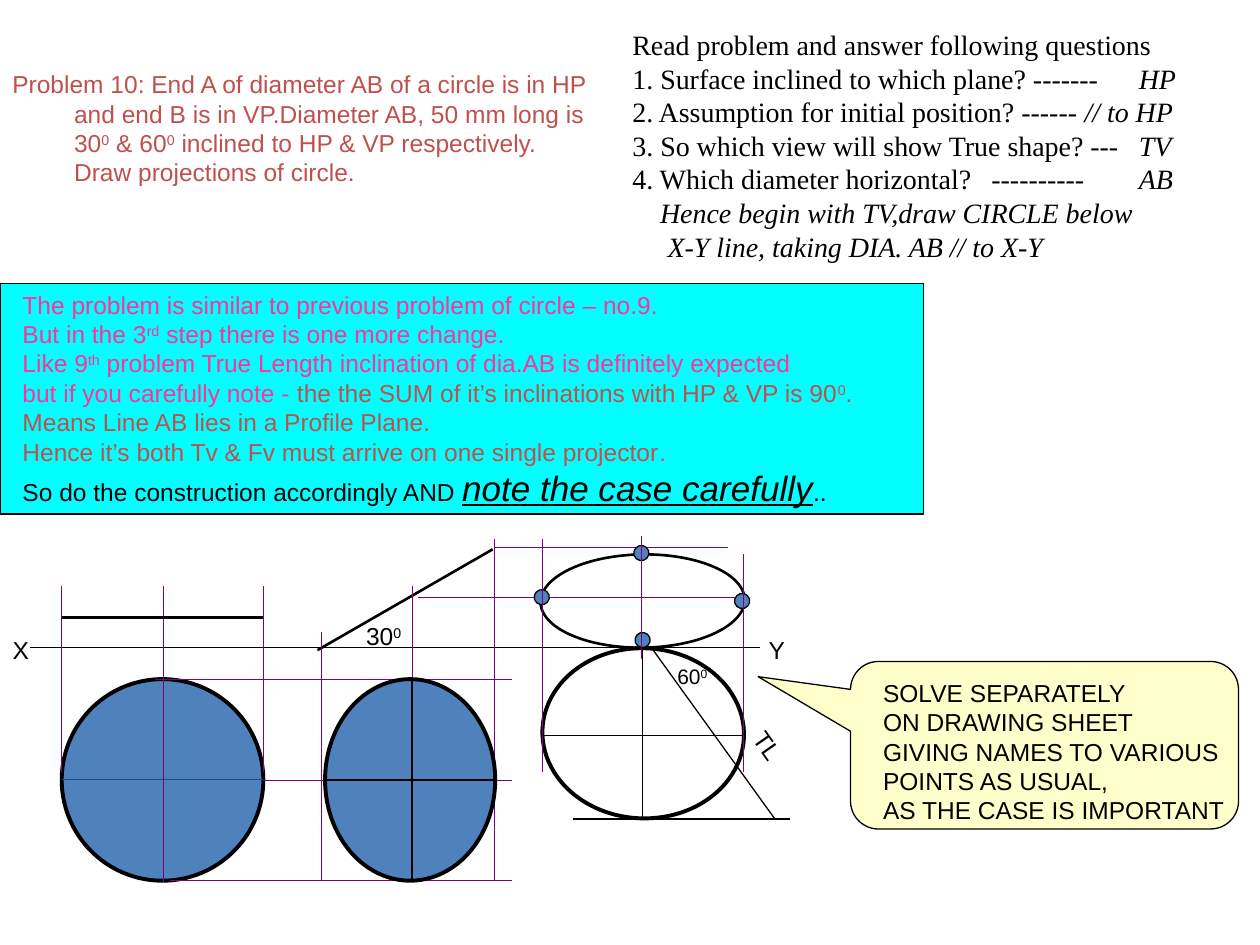
from dataclasses import dataclass

from lxml.etree import SubElement
from pptx import Presentation
from pptx.dml.color import RGBColor
from pptx.enum.shapes import MSO_CONNECTOR, MSO_SHAPE
from pptx.enum.text import PP_ALIGN
from pptx.oxml.ns import qn
from pptx.util import Inches, Pt


@dataclass(frozen=True)
class Theme:
    black: str = "000000"
    white: str = "FFFFFF"
    red: str = "C0504D"
    pink: str = "FF3399"
    cyan: str = "00FFFF"
    cream: str = "FFFFCC"
    blue: str = "4F81BD"
    navy: str = "1F497D"
    purple: str = "800080"
    sans: str = "Arial"
    serif: str = "Times New Roman"
    small: int = 12
    body: int = 14
    question: int = 16
    emphasis: int = 20


theme = Theme()
SUPER = {"superscript": True}
ITALIC = {"italic": True}


def add_text(shapes, box, paragraphs, color=theme.black, size=theme.body,
             font=theme.sans, wrap=True, align=PP_ALIGN.LEFT):
    """Each paragraph is a list of (text, style overrides) runs."""
    shape = shapes.add_textbox(*map(Inches, box))
    text_frame = shape.text_frame
    text_frame.word_wrap = wrap
    for index, runs in enumerate(paragraphs):
        paragraph = text_frame.paragraphs[0] if index == 0 else text_frame.add_paragraph()
        paragraph.alignment = align
        for text, style in runs:
            run = paragraph.add_run()
            run.text = text
            run.font.name = font
            run.font.size = Pt(style.get("size", size))
            run.font.color.rgb = RGBColor.from_string(style.get("color", color))
            run.font.italic = style.get("italic")
            run.font.underline = style.get("underline")
            if style.get("superscript"):
                run.font._element.set("baseline", "30000")
    return shape


def add_figure(shapes, kind, box, fill, width=0.75, rotation=0):
    shape = shapes.add_shape(kind, *map(Inches, box))
    shape.shadow.inherit = False
    shape.fill.solid()
    shape.fill.fore_color.rgb = RGBColor.from_string(fill)
    shape.line.color.rgb = RGBColor.from_string(theme.black)
    shape.line.width = Pt(width)
    shape.rotation = rotation
    return shape


presentation = Presentation()
presentation.slide_width, presentation.slide_height = Inches(10), Inches(7.5)
slide = presentation.slides.add_slide(presentation.slide_layouts[6])
shapes = slide.shapes

# Problem statement, with a hanging indent after the first line
problem = add_text(shapes, (0, 0.5, 4.87, 1.04), [
    [("Problem 10: End A of diameter AB of a circle is in HP", {})],
    [("and end B is in VP.Diameter AB, 50 mm long is", {})],
    [("30", {}), ("0", SUPER), (" & 60", {}), ("0", SUPER),
     (" inclined to HP & VP respectively.", {})],
    [("Draw projections of circle.", {})],
], color=theme.red, align=PP_ALIGN.JUSTIFY)
for paragraph in problem.text_frame.paragraphs[1:]:
    paragraph._p.get_or_add_pPr().set("marL", str(Inches(0.49)))

# Explanation panel
red, black = {"color": theme.red}, {"color": theme.black}
panel = shapes.add_group_shape()
add_figure(panel.shapes, MSO_SHAPE.RECTANGLE, (0, 2.25, 7.33, 1.83), theme.cyan)
add_text(panel.shapes, (0.08, 2.25, 7.31, 1.83), [
    [("The problem is similar to previous problem of circle – no.9.", {})],
    [("But in the 3", {}), ("rd", SUPER), (" step there is one more change.", {})],
    [("Like 9", {}), ("th", SUPER),
     (" problem True Length inclination of dia.AB is definitely expected", {})],
    [("but if you carefully note - ", {}),
     ("the the SUM of it’s inclinations with HP & VP is 90", red),
     ("0", red | SUPER), (".", red)],
    [("Means Line AB lies in a Profile Plane.", red)],
    [("Hence it’s both Tv & Fv must arrive on one single projector", red), (".", {})],
    [("So do the construction accordingly AND ", black),
     ("note the case carefully",
      black | ITALIC | {"underline": True, "size": theme.emphasis}),
     ("..", black)],
], color=theme.pink)

# Callout
callout = shapes.add_group_shape()
balloon = add_figure(callout.shapes, MSO_SHAPE.ROUNDED_RECTANGULAR_CALLOUT,
                     (6.75, 5.25, 3.08, 1.33), theme.cream)
for index, value in enumerate((-0.738, -0.409, 0.167)):
    balloon.adjustments[index] = value
add_text(callout.shapes, (6.91, 5.33, 2.98, 1.26), [[(line, {})] for line in (
    "SOLVE SEPARATELY", "ON DRAWING SHEET", "GIVING NAMES TO VARIOUS",
    "POINTS AS USUAL,", "AS THE CASE IS IMPORTANT")])

# Levels and projectors shared by the three stages
xy, top, middle, bottom = 5.14, 5.39, 6.19, 6.99
left, center, right = 0.49, 1.3, 2.09
tilt_center, tilt_right = 3.27, 3.92
final_left, final_right, final_base = 4.3, 5.9, 6.5
hairline, thin, normal, bold, heavy = 0.25, 0.5, 0.75, 1.5, 2.25

# Drawing from back to front: ellipses are (box, fill, width, rotation),
# lines are (x1, y1, x2, y2, colour, width)
drawing = [
    # First stage, with the final front view behind
    ((4.29, 4.4, 1.62, 0.74), theme.white, bold, 359.2),
    ((left, top, 1.6, 1.6), theme.blue, heavy, 0),
    (left, middle, right, middle, theme.navy, thin),
    (center, 5.4, center, 7, theme.purple, thin),
    (0.24, xy, 6.03, xy, theme.black, normal),
    (left, 6.13, left, 4.65, theme.purple, thin),
    (right, 6.13, right, 4.65, theme.purple, thin),
    (center, top, center, 4.65, theme.purple, thin),
    (left, 4.9, right, 4.9, theme.black, bold),
    # Second stage
    (2.52, 5.16, 3.91, 4.36, theme.black, bold),
    (tilt_right, 4.28, tilt_right, bottom, theme.purple, hairline),
    (tilt_center, 4.65, tilt_center, bottom, theme.purple, hairline),
    (2.55, 5.02, 2.55, bottom, theme.purple, hairline),
    (1.23, top, 4.06, top, theme.purple, hairline),
    (right, middle, 4.06, middle, theme.purple, hairline),
    (1.35, bottom, 4.06, bottom, theme.purple, hairline),
    ((2.58, top, 1.35, 1.6), theme.blue, heavy, 0),
    (tilt_center, top, tilt_center, bottom, theme.black, normal),
    # Final stage
    ((4.43, 5.02, 1.35, 1.6), theme.white, heavy, 272.1),
    (3.93, 4.34, 5.78, 4.34, theme.purple, hairline),
    (3.32, 4.74, final_right, 4.74, theme.purple, hairline),
    *[((x, y, 0.12, 0.12), theme.blue, normal, 12.2)
      for x, y in ((4.24, 4.68), (5.04, 5.02), (5.83, 4.71), (5.03, 4.33))],
    (final_left, 6.13, final_left, 4.28, theme.purple, hairline),
    (final_right, 6.13, final_right, 4.4, theme.purple, hairline),
    (2.58, middle, 3.93, middle, theme.black, normal),
    (final_left, 5.84, final_right, 5.84, theme.black, normal),
    (5.1, xy, 5.1, final_base, theme.black, normal),
    (5.17, xy, 6.15, final_base, theme.black, normal),
    (6.27, final_base, 4.55, final_base, theme.black, normal),
    (5.09, 4.25, 5.09, 5.23, theme.purple, normal),
]
for item in drawing:
    if len(item) == 4:
        box, fill, width, rotation = item
        add_figure(shapes, MSO_SHAPE.OVAL, box, fill, width, rotation)
        continue
    *ends, color, width = item
    connector = shapes.add_connector(MSO_CONNECTOR.STRAIGHT, *map(Inches, ends))
    connector.line.color.rgb = RGBColor.from_string(color)
    connector.line.width = Pt(width)
    SubElement(connector._element.spPr, qn("a:effectLst"))

# Labels on the drawing
for box, runs, size, rotation in (
    ((5.88, 5.75, 0.43, 0.33), [("TL", {})], theme.body, 55),
    ((0, 4.99, 0.33, 0.33), [("X", {})], theme.body, 0),
    ((6, 4.99, 0.33, 0.33), [("Y", {})], theme.body, 0),
    ((2.8, 4.88, 0.49, 0.33), [("30", {}), ("0", SUPER)], theme.body, 0),
    ((5.27, 5.22, 0.45, 0.3), [("60", {}), ("0", SUPER)], theme.small, 0),
):
    label = add_text(shapes, box, [runs], size=size, wrap=False, align=PP_ALIGN.CENTER)
    label.rotation = rotation

# Questions, with answers lined up by tab stops
questions = add_text(shapes, (4.92, 0.17, 4.75, 1.99), [
    [("Read problem and answer following questions", {})],
    [("1. Surface inclined to which plane? -------\t", {}), ("HP", ITALIC)],
    [("2. Assumption for initial position? ------ ", {}), ("// to HP", ITALIC)],
    [("3. So which view will show True shape? ---\t", {}), ("TV", ITALIC)],
    [("4. Which diameter horizontal?\t----------\t", {}), ("AB", ITALIC)],
    [("Hence begin with TV,draw CIRCLE below", ITALIC)],
    [("X-Y line, taking DIA. AB // to X-Y", ITALIC)],
], size=theme.question, font=theme.serif)
lines = questions.text_frame.paragraphs
for paragraph in lines[1:5]:
    tab_list = SubElement(paragraph._p.get_or_add_pPr(), qn("a:tabLst"))
    for position in (2.85, 4.02):
        SubElement(tab_list, qn("a:tab"), pos=str(Inches(position)), algn="l")
for paragraph, indent in zip(lines[5:], (0.22, 0.28)):
    paragraph._p.get_or_add_pPr().set("marL", str(Inches(indent)))

presentation.save("out.pptx")
